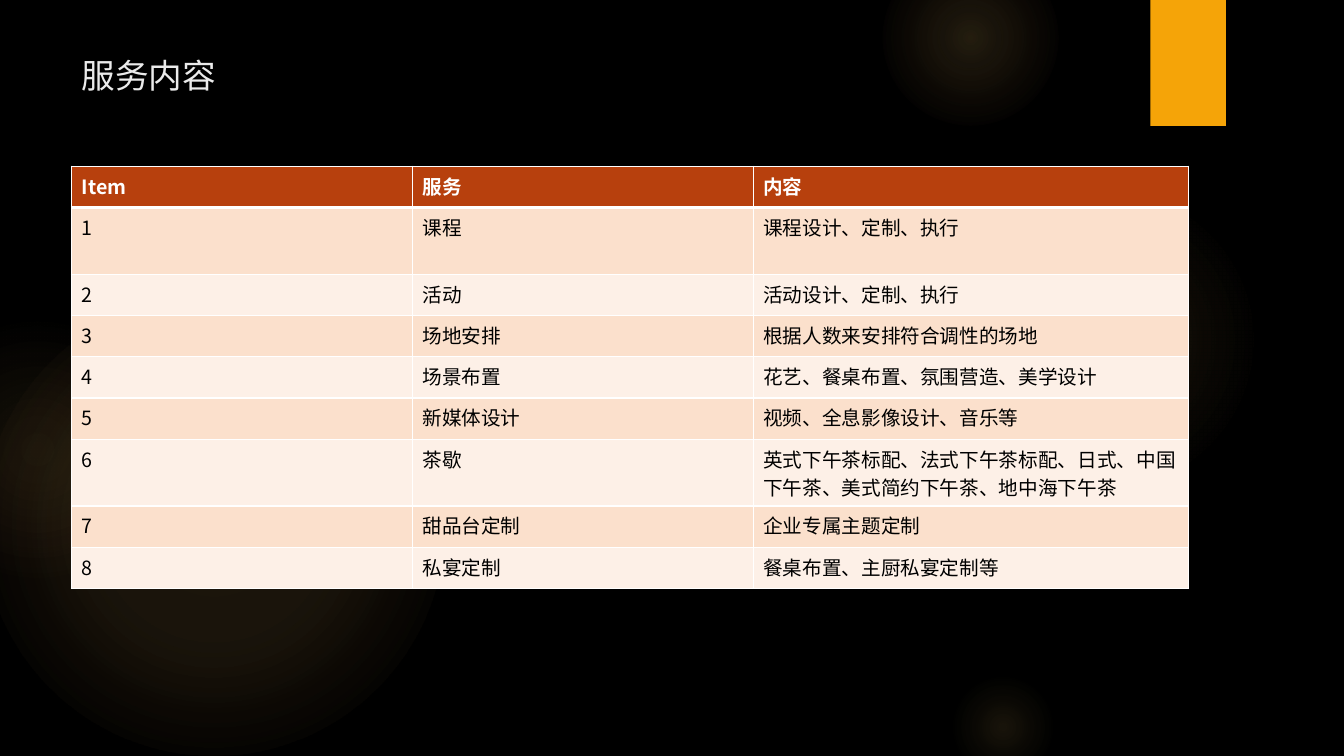
from typing import NamedTuple

from pptx import Presentation
from pptx.dml.color import RGBColor as RGB
from pptx.enum.shapes import MSO_SHAPE as Kind
from pptx.enum.text import MSO_ANCHOR as Anchor
from pptx.oxml import parse_xml
from pptx.oxml.ns import nsdecls, qn
from pptx.util import Inches, Pt

FONT = "Noto Sans CJK SC"
HUES = {
    "back": "000000", "title": "EBEBEB", "tab": "F5A408",
    "glow": "FAC96A", "blush": "F59B74",
    "head": "B7400D", "odd": "FBE0CC", "even": "FDF0E7",
    "rule": "FFFFFF", "body": "000000",
}


class Stop(NamedTuple):
    at: int
    alpha: int
    hue: str = "glow"


class Glow(NamedTuple):
    left: float
    top: float
    size: float
    stops: list[Stop]


class Row(NamedTuple):
    item: str
    name: str
    text: str
    height: float = 0.41


GLOWS = [
    Glow(-0.17, 2.92, 4.58, [Stop(0, 11), Stop(36, 10), Stop(75, 0)]),
    Glow(-0.92, 3.17, 2.58, [Stop(0, 8), Stop(36, 5), Stop(71, 0, "blush")]),
    Glow(9.41, 1.83, 3.08, [Stop(0, 7), Stop(36, 6), Stop(69, 0)]),
    Glow(8.75, -0.5, 1.75, [Stop(0, 14), Stop(36, 7), Stop(73, 0)]),
    Glow(9.41, 6.67, 1.08, [Stop(0, 10), Stop(31, 5), Stop(66, 0)]),
]
COLS = [3.38, 3.38, 4.32]
TALL = 0.66
ROWS = [
    Row("Item", "服务", "内容"),
    Row("1", "课程", "课程设计、定制、执行", TALL),
    Row("2", "活动", "活动设计、定制、执行"),
    Row("3", "场地安排", "根据人数来安排符合调性的场地"),
    Row("4", "场景布置", "花艺、餐桌布置、氛围营造、美学设计"),
    Row("5", "新媒体设计", "视频、全息影像设计、音乐等"),
    Row("6", "茶歇", "英式下午茶标配、法式下午茶标配、日式、中国下午茶、美式简约下午茶、地中海下午茶", TALL),
    Row("7", "甜品台定制", "企业专属主题定制"),
    Row("8", "私宴定制", "餐桌布置、主厨私宴定制等"),
]


def paint(fill, hue: str) -> None:
    fill.solid()
    fill.fore_color.rgb = RGB.from_string(HUES[hue])


def write(frame, text: str, *, size: float, hue: str, bold: bool = False) -> None:
    run = frame.paragraphs[0].add_run()
    run.text = text
    font = run.font
    font.size, font.bold, font.name = Pt(size), bold, FONT
    paint(font.fill, hue)
    font._element.append(parse_xml(f'<a:ea {nsdecls("a")} typeface="{FONT}"/>'))


def add_glow(slide, glow: Glow) -> None:
    """Draw a circle that fades out from its centre."""
    side = Inches(glow.size)
    disc = slide.shapes.add_shape(
        Kind.OVAL, Inches(glow.left), Inches(glow.top), side, side)
    disc.shadow.inherit = False
    disc.line.fill.background()
    disc.fill.background()
    stops = "".join(
        f'<a:gs pos="{s.at * 1000}"><a:srgbClr val="{HUES[s.hue]}">'
        f'<a:alpha val="{s.alpha * 1000}"/></a:srgbClr></a:gs>'
        for s in glow.stops)
    props = disc.element.spPr
    props.replace(props.find(qn("a:noFill")), parse_xml(
        f'<a:gradFill {nsdecls("a")} rotWithShape="1"><a:gsLst>{stops}</a:gsLst>'
        '<a:path path="circle"><a:fillToRect l="50000" t="50000" r="50000" b="50000"/>'
        '</a:path></a:gradFill>'))


def add_tab(slide) -> None:
    tab = slide.shapes.add_shape(
        Kind.RECTANGLE, Inches(11.41), 0, Inches(0.75), Inches(1.25))
    paint(tab.fill, "tab")
    tab.line.fill.background()
    tab.shadow.inherit = False
    tab.element.spPr.find(qn("a:effectLst")).append(parse_xml(
        f'<a:outerShdw {nsdecls("a")} blurRad="{Pt(3)}" dist="{Pt(2)}" dir="5400000" '
        f'rotWithShape="0"><a:srgbClr val="{HUES["back"]}"><a:alpha val="45000"/>'
        '</a:srgbClr></a:outerShdw>'))


def add_title(slide) -> None:
    box = slide.shapes.add_textbox(
        Inches(0.71), Inches(0.5), Inches(10.29), Inches(1.1))
    frame = box.text_frame
    frame.word_wrap = True
    frame.vertical_anchor = Anchor.TOP
    write(frame, "服务内容", size=24, hue="title")


def edge(cell, top: float, base: float) -> None:
    """Rule all four sides of a cell, with widths in points."""
    props = cell._tc.get_or_add_tcPr()
    sides = {"L": 1, "R": 1, "T": top, "B": base}
    for spot, (side, width) in enumerate(sides.items()):
        props.insert(spot, parse_xml(
            f'<a:ln{side} {nsdecls("a")} w="{Pt(width)}"><a:solidFill>'
            f'<a:srgbClr val="{HUES["rule"]}"/></a:solidFill></a:ln{side}>'))


def add_grid(slide) -> None:
    high = sum(row.height for row in ROWS)
    grid = slide.shapes.add_table(
        len(ROWS), len(COLS), Inches(0.71), Inches(1.65),
        Inches(sum(COLS)), Inches(high)).table
    for col, width in zip(grid.columns, COLS):
        col.width = Inches(width)
    for r, row in enumerate(ROWS):
        grid.rows[r].height = Inches(row.height)
        head = r == 0
        fill = "head" if head else "odd" if r % 2 else "even"
        for c, text in enumerate((row.item, row.name, row.text)):
            cell = grid.cell(r, c)
            paint(cell.fill, fill)
            edge(cell, top=3 if r == 1 else 1, base=3 if head else 1)
            write(cell.text_frame, text, size=14,
                  hue="rule" if head else "body", bold=head)


def main() -> None:
    deck = Presentation()
    deck.slide_width, deck.slide_height = Inches(13.33), Inches(7.5)
    slide = deck.slides.add_slide(deck.slide_layouts[6])
    paint(slide.background.fill, "back")
    for glow in GLOWS:
        add_glow(slide, glow)
    add_tab(slide)
    add_title(slide)
    add_grid(slide)
    deck.save("out.pptx")


if __name__ == "__main__":
    main()
